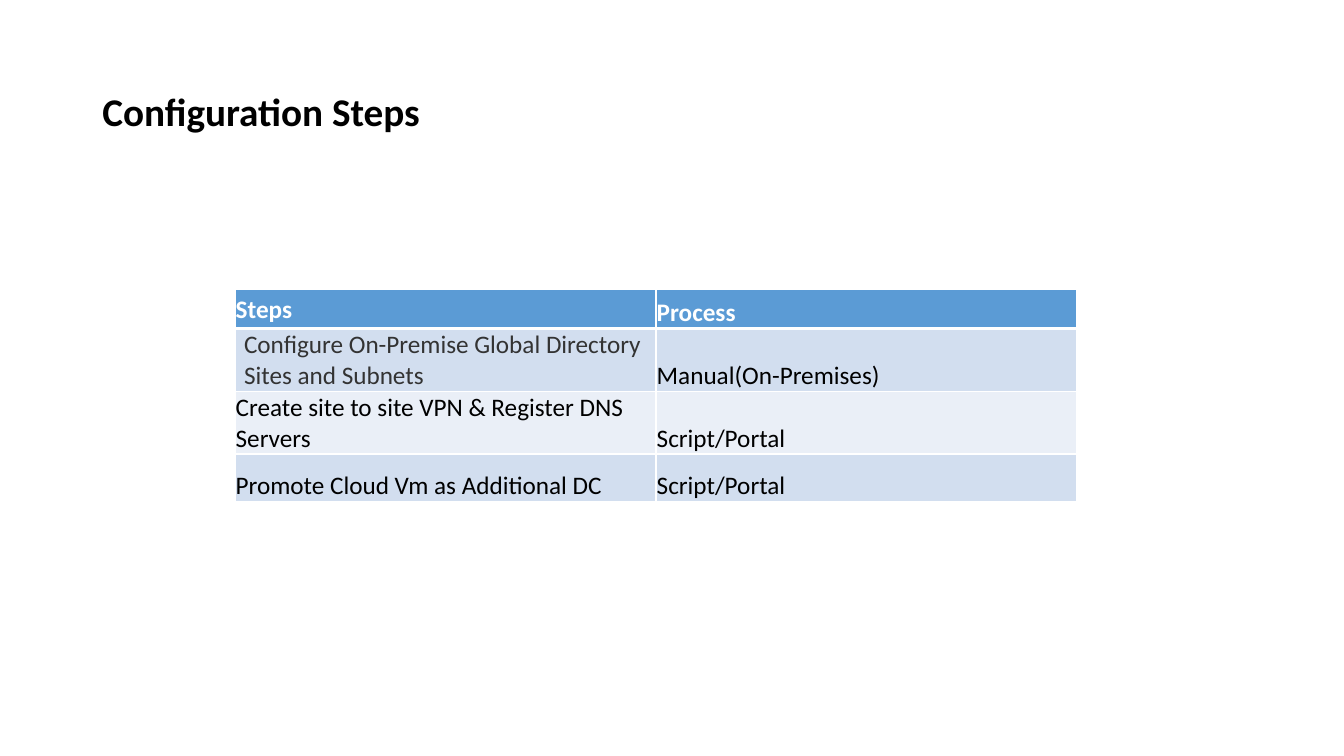
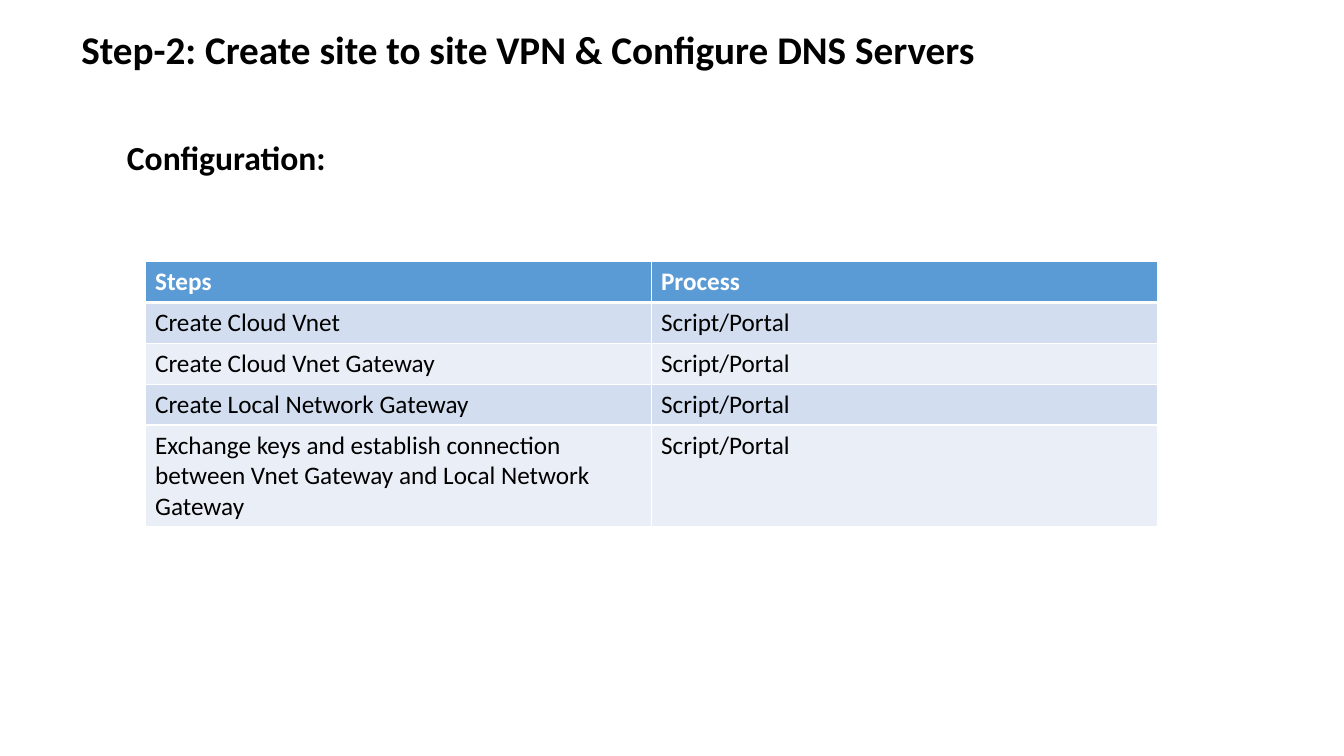
"""Build two slides on the setup steps of a site to site network."""
from dataclasses import dataclass

from lxml.etree import SubElement
from pptx import Presentation
from pptx.dml.color import RGBColor
from pptx.enum.text import MSO_ANCHOR
from pptx.oxml.ns import qn
from pptx.slide import Slide
from pptx.table import _Cell
from pptx.text.text import _Paragraph
from pptx.util import Cm, Pt


@dataclass(frozen=True)
class Theme:
    font: str = "Calibri"
    title: int = 28
    lead: int = 24
    body: int = 18
    thin: int = 1
    thick: int = 3
    black: str = "000000"
    white: str = "FFFFFF"
    gray: str = "333333"
    head: str = "5B9BD5"
    bands: tuple[str, str] = ("D2DEEF", "EAEFF7")


@dataclass(frozen=True)
class Box:
    left: float
    top: float
    width: float
    height: float


@dataclass(frozen=True)
class Pad:
    left: float
    top: float
    right: float
    base: float


@dataclass(frozen=True)
class Entry:
    text: str
    anchor: MSO_ANCHOR
    pad: Pad
    color: str = ""


@dataclass(frozen=True)
class Row:
    height: float
    cells: tuple[Entry, Entry]


THEME = Theme()
TIGHT = Pad(0.02, 0.02, 0.02, 0)
INDENT = Pad(0.23, 0.02, 0.02, 0)
ROOMY = Pad(0.25, 0.13, 0.25, 0.13)
TOP, MIDDLE, BOTTOM = MSO_ANCHOR.TOP, MSO_ANCHOR.MIDDLE, MSO_ANCHOR.BOTTOM


def add_run(para: _Paragraph, text: str, size: int, color: str, bold: bool) -> None:
    run = para.add_run()
    run.text = text
    run.font.name = THEME.font
    run.font.size = Pt(size)
    run.font.bold = bold
    run.font.color.rgb = RGBColor.from_string(color)


def add_label(slide: Slide, box: Box, text: str, size: int, anchor: MSO_ANCHOR) -> None:
    label = slide.shapes.add_textbox(
        Cm(box.left), Cm(box.top), Cm(box.width), Cm(box.height))
    frame = label.text_frame
    frame.word_wrap = True
    frame.vertical_anchor = anchor
    para = frame.paragraphs[0]
    para.line_spacing = 0.9
    add_run(para, text, size, THEME.black, True)


def add_edges(cell: _Cell, index: int) -> None:
    props = cell._tc.get_or_add_tcPr()
    for side in ("lnL", "lnR", "lnT", "lnB"):
        heavy = (index, side) in ((0, "lnB"), (1, "lnT"))
        width = Pt(THEME.thick if heavy else THEME.thin)
        line = SubElement(props, qn(f"a:{side}"), w=str(width))
        fill = SubElement(line, qn("a:solidFill"))
        SubElement(fill, qn("a:srgbClr"), val=THEME.white)


def fill_cell(cell: _Cell, entry: Entry, index: int) -> None:
    head = index == 0
    add_edges(cell, index)
    cell.fill.solid()
    cell.fill.fore_color.rgb = RGBColor.from_string(
        THEME.head if head else THEME.bands[(index - 1) % 2])
    cell.vertical_anchor = entry.anchor
    cell.margin_left, cell.margin_top = Cm(entry.pad.left), Cm(entry.pad.top)
    cell.margin_right, cell.margin_bottom = Cm(entry.pad.right), Cm(entry.pad.base)
    color = entry.color or (THEME.white if head else THEME.black)
    add_run(cell.text_frame.paragraphs[0], entry.text, THEME.body, color, head)


def add_grid(slide: Slide, left: float, top: float, width: float, rows: list[Row]) -> None:
    height = sum(row.height for row in rows)
    grid = slide.shapes.add_table(
        len(rows), 2, Cm(left), Cm(top), Cm(width), Cm(height)).table
    for column in grid.columns:
        column.width = Cm(width / 2)
    for index, row in enumerate(rows):
        grid.rows[index].height = Cm(row.height)
        for place, entry in enumerate(row.cells):
            fill_cell(grid.cell(index, place), entry, index)


def low(text: str) -> Entry:
    return Entry(text, BOTTOM, TIGHT)


def high(text: str) -> Entry:
    return Entry(text, TOP, ROOMY)


def main() -> None:
    deck = Presentation()
    deck.slide_width, deck.slide_height = Cm(33.87), Cm(19.05)
    blank = deck.slide_layouts[6]

    plan = deck.slides.add_slide(blank)
    add_label(plan, Box(2.33, 1.02, 29.21, 3.68), "Configuration Steps", THEME.title, MIDDLE)
    add_grid(plan, 5.92, 7.3, 21.22, [
        Row(0.98, (Entry("Steps", MIDDLE, TIGHT), low("Process"))),
        Row(1.58, (Entry("Configure On-Premise Global Directory Sites and Subnets",
                         MIDDLE, INDENT, THEME.gray),
                   low("Manual(On-Premises)"))),
        Row(1.58, (low("Create site to site VPN & Register DNS Servers"),
                   low("Script/Portal"))),
        Row(1.19, (low("Promote Cloud Vm as Additional DC"), low("Script/Portal"))),
    ])

    setup = deck.slides.add_slide(blank)
    add_label(setup, Box(1.8, 0, 29.21, 2.62),
              "Step-2: Create site to site VPN & Configure DNS Servers", THEME.title, MIDDLE)
    add_label(setup, Box(2.95, 3.45, 28.06, 1.4), "Configuration:", THEME.lead, TOP)
    tasks = ["Create Cloud Vnet", "Create Cloud Vnet Gateway", "Create Local Network Gateway"]
    final = ("Exchange keys and establish connection between Vnet Gateway "
             "and Local Network Gateway")
    add_grid(setup, 3.66, 6.59, 25.5, [
        Row(1.03, (high("Steps"), high("Process"))),
        *(Row(1.03, (high(task), high("Script/Portal"))) for task in tasks),
        Row(2.57, (high(final), high("Script/Portal"))),
    ])

    deck.save("out.pptx")


if __name__ == "__main__":
    main()
